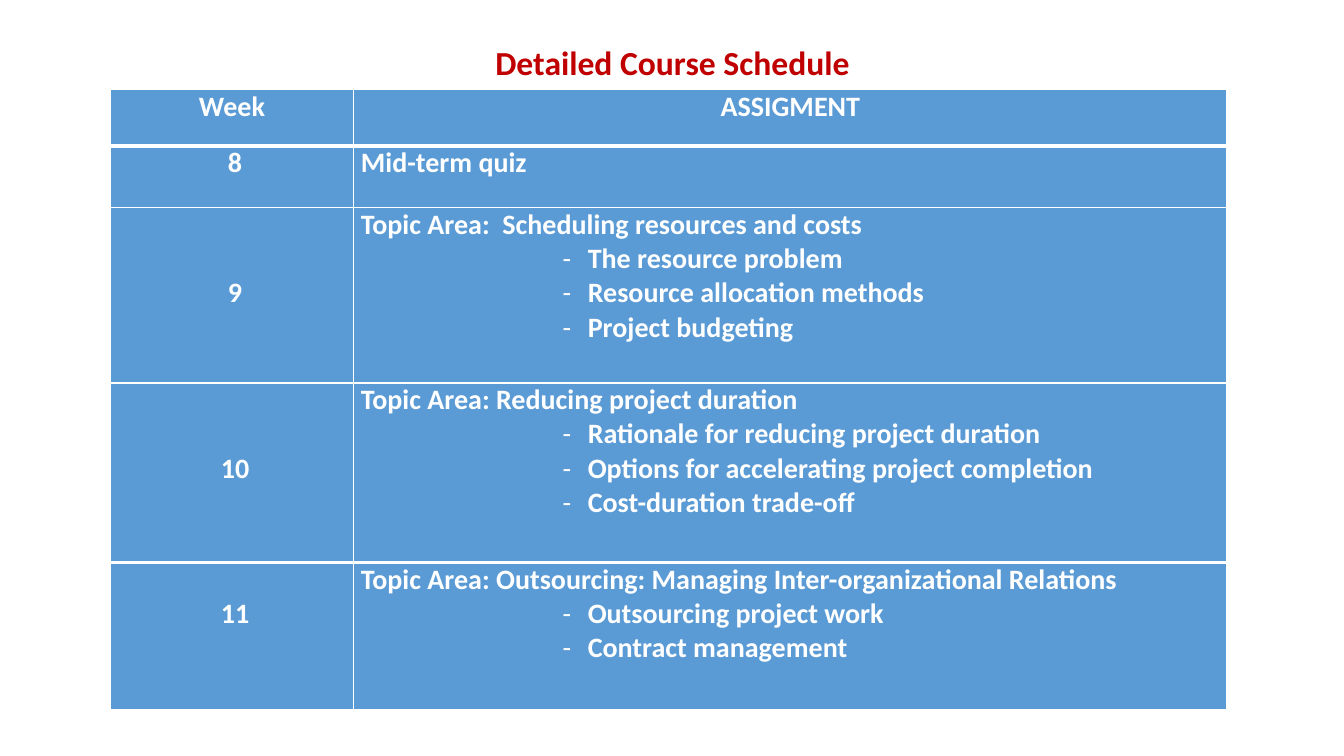
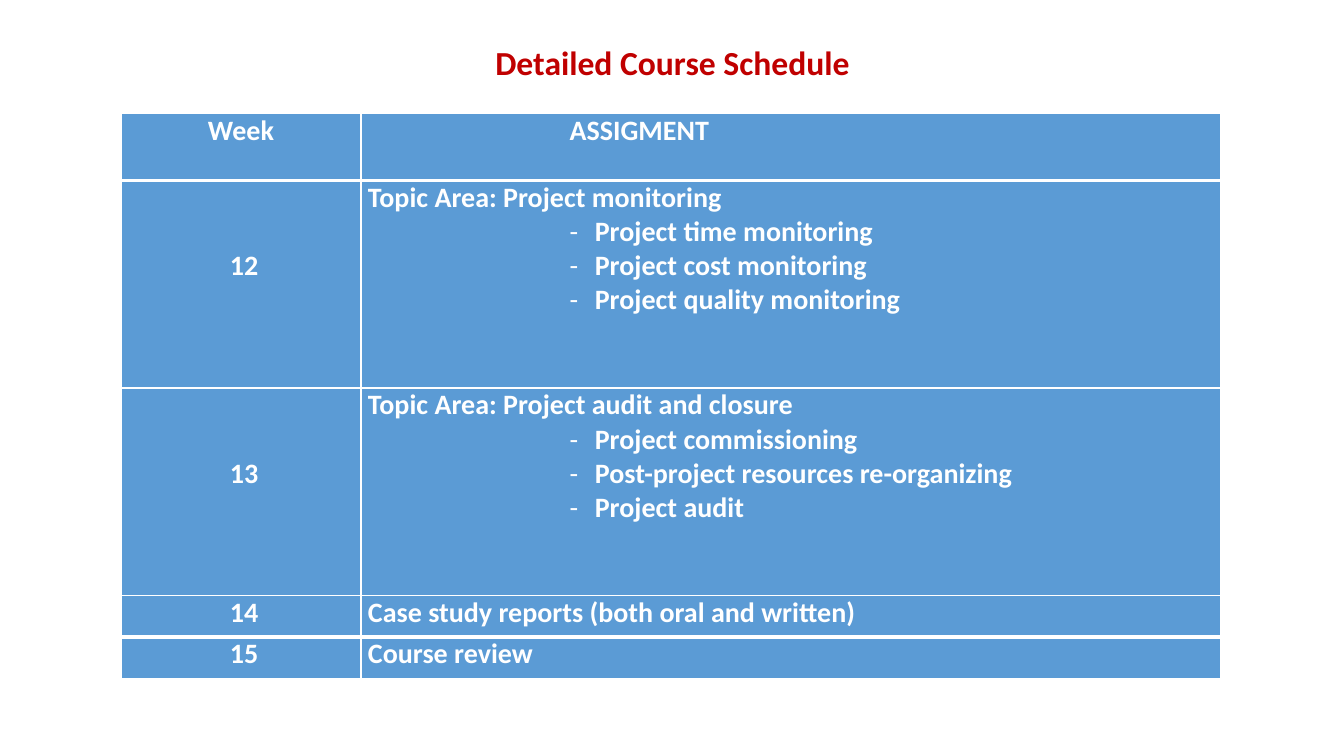
from lxml import etree
from pptx import Presentation
from pptx.dml.color import RGBColor
from pptx.enum.text import MSO_ANCHOR, PP_ALIGN
from pptx.oxml.ns import qn
from pptx.util import Inches, Pt

RED = RGBColor(0xC0, 0x00, 0x00)
BLUE = RGBColor(0x5B, 0x9B, 0xD5)
WHITE = RGBColor(0xFF, 0xFF, 0xFF)
FONT = "Calibri"
LINE = 0.34  # height of one 20 pt line, in inches


def add_paragraph(tf, text, size, color, align=PP_ALIGN.LEFT, indent=0, dash=False):
    """Fill the empty first paragraph, or add the next one."""
    p = tf.add_paragraph() if tf.text else tf.paragraphs[0]
    p.text = text
    p.alignment = align
    font = p.runs[0].font
    font.name, font.size, font.bold = FONT, Pt(size), True
    font.color.rgb = color
    if indent:
        pPr = p._p.get_or_add_pPr()
        pPr.set("marL", str(Inches(indent)))
        pPr.set("indent", str(Inches(-0.25 if dash else 0)))
        if dash:
            etree.SubElement(pPr, qn("a:buFont")).set("typeface", FONT)
            etree.SubElement(pPr, qn("a:buChar")).set("char", "-")
    return p


def style_cell(cell, top, bottom):
    """White borders, blue fill and tight margins."""
    tcPr = cell._tc.get_or_add_tcPr()
    for side, width in (("L", 1), ("R", 1), ("T", top), ("B", bottom)):
        ln = etree.SubElement(tcPr, qn("a:ln" + side), w=str(Pt(width)))
        fill = etree.SubElement(ln, qn("a:solidFill"))
        etree.SubElement(fill, qn("a:srgbClr")).set("val", str(WHITE))
    cell.fill.solid()
    cell.fill.fore_color.rgb = BLUE
    cell.margin_left = cell.margin_right = Inches(0.07)
    cell.margin_top = cell.margin_bottom = 0


# Each row: height, week, lines above the week number, heading, topics
schedules = [
    {
        "at": (1.09, 0.89), "cols": (2.42, 8.66), "header_indent": 0,
        "rows": [
            (0.56, "Week", 0, "ASSIGMENT", []),
            (0.61, " 8", 0, "Mid-term quiz", []),
            (1.74, " 9", 2, "Topic Area:  Scheduling resources and costs",
             ["The resource problem", "Resource allocation methods", "Project budgeting"]),
            (1.78, " 10", 2, "Topic Area: Reducing project duration",
             ["Rationale for reducing project duration",
              "Options for accelerating project completion",
              "Cost-duration trade-off"]),
            (1.46, " 11", 1,
             "Topic Area: Outsourcing: Managing Inter-organizational Relations",
             ["Outsourcing project work", "Contract management"]),
        ],
    },
    {
        "at": (1.2, 1.13), "cols": (2.38, 8.53), "header_indent": 2,
        "rows": [
            (0.66, "Week", 0, "ASSIGMENT", []),
            (2.06, " 12", 2, "Topic Area: Project monitoring",
             ["Project time monitoring", "Project cost monitoring",
              "Project quality monitoring"]),
            (2.06, " 13", 2, "Topic Area: Project audit and closure",
             ["Project commissioning", "Post-project resources re-organizing",
              "Project audit"]),
            (0.41, " 14", 0, "Case study reports (both oral and written)", []),
            (0.41, " 15", 0, "Course review", []),
        ],
    },
]

prs = Presentation()
prs.slide_width, prs.slide_height = Inches(13.33), Inches(7.5)

for schedule in schedules:
    s = prs.slides.add_slide(prs.slide_layouts[6])

    # Title
    sp = s.shapes.add_textbox(Inches(0.92), Inches(0.4), Inches(11.5), Inches(0.49))
    tf = sp.text_frame
    tf.word_wrap = True
    tf.vertical_anchor = MSO_ANCHOR.MIDDLE
    p = add_paragraph(tf, "Detailed Course Schedule", 24, RED, PP_ALIGN.CENTER)
    p.line_spacing = 0.9

    # Schedule table
    rows, cols = schedule["rows"], schedule["cols"]
    left, top = schedule["at"]
    height = sum(row[0] for row in rows)
    table = s.shapes.add_table(len(rows), len(cols), Inches(left), Inches(top),
                               Inches(sum(cols)), Inches(height)).table
    table.horz_banding = False
    for column, width in zip(table.columns, cols):
        column.width = Inches(width)

    last = len(rows) - 1
    for i, (row_height, week, lines_above, heading, topics) in enumerate(rows):
        table.rows[i].height = Inches(row_height)
        week_cell, topic_cell = table.cell(i, 0), table.cell(i, 1)
        # Heavy rules run below the header and above the last row
        for cell in (week_cell, topic_cell):
            style_cell(cell, 3 if i in (1, last) else 1, 3 if i in (0, last - 1) else 1)

        week_cell.margin_top = Inches(LINE * lines_above)
        add_paragraph(week_cell.text_frame, week, 20, WHITE, PP_ALIGN.CENTER)

        indent = schedule["header_indent"] if i == 0 else 0
        align = PP_ALIGN.CENTER if i == 0 and not indent else PP_ALIGN.LEFT
        add_paragraph(topic_cell.text_frame, heading, 20, WHITE, align, indent)
        for topic in topics:
            add_paragraph(topic_cell.text_frame, topic, 20, WHITE, indent=2.25, dash=True)

prs.save("out.pptx")
